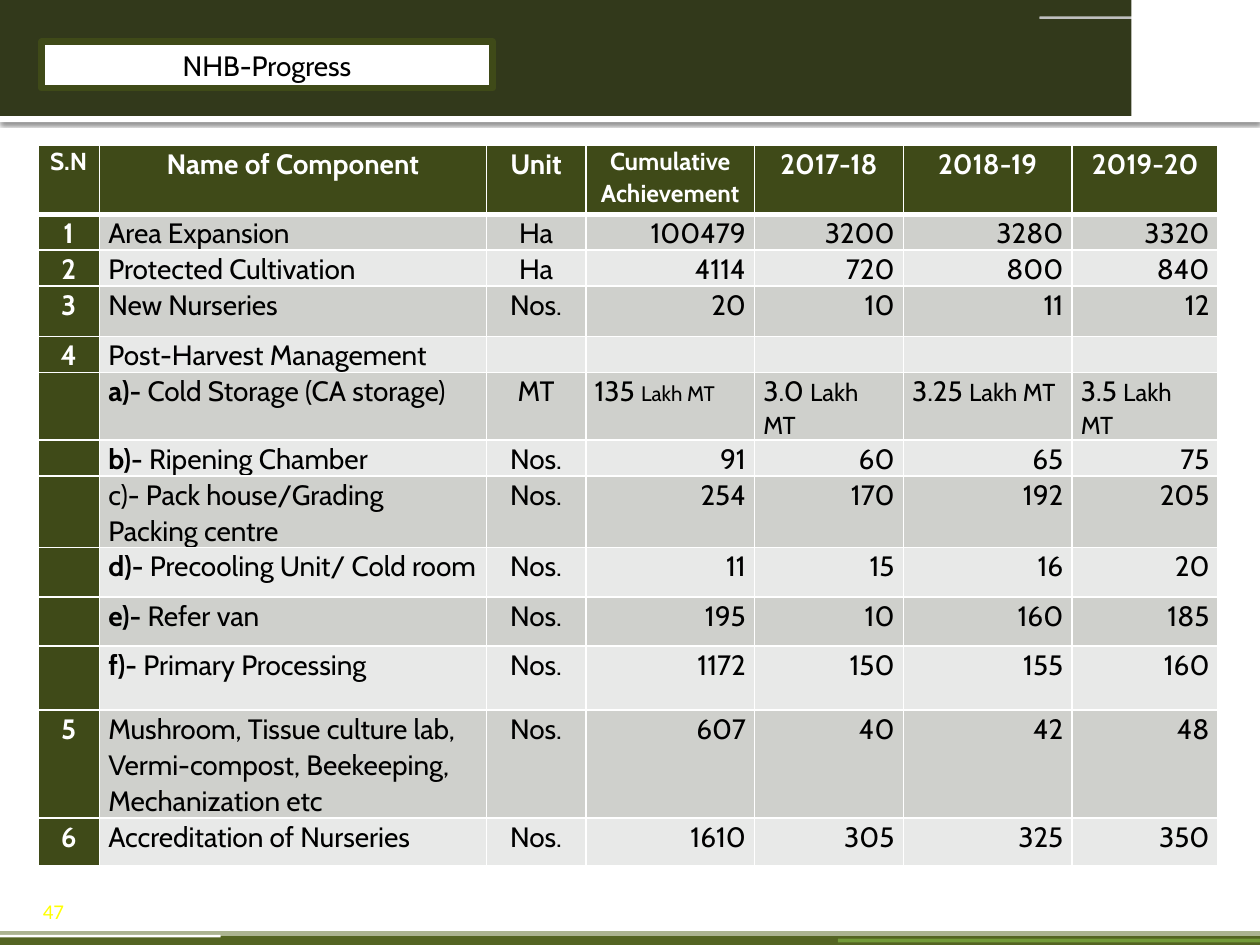
"""Build the NHB progress slide: a banded frame, a boxed title and a table."""
from lxml import etree
from pptx import Presentation
from pptx import util as u
from pptx.dml.color import RGBColor
from pptx.enum import shapes, text
from pptx.oxml import parse_xml
from pptx.oxml.ns import nsdecls, qn

WHITE = RGBColor(0xFF, 0xFF, 0xFF)
BLACK = RGBColor(0, 0, 0)
OLIVE = RGBColor(0x3F, 0x4A, 0x18)
DARK = RGBColor(0x32, 0x39, 0x1B)
GREEN = RGBColor(0x54, 0x64, 0x22)
MOSS = RGBColor(0x59, 0x69, 0x22)
LIME = RGBColor(0x92, 0xD0, 0x50)
SILVER = RGBColor(0xBF, 0xBF, 0xBF)
YELLOW = RGBColor(0xFF, 0xFF, 0)
BANDS = [RGBColor(0xE8, 0xE9, 0xE8), RGBColor(0xCF, 0xD0, 0xCC)]

LEFT, MID, RIGHT = text.PP_ALIGN.LEFT, text.PP_ALIGN.CENTER, text.PP_ALIGN.RIGHT
RECT, ROUND = shapes.MSO_SHAPE.RECTANGLE, shapes.MSO_SHAPE.ROUNDED_RECTANGLE

deck = Presentation()
deck.slide_width, deck.slide_height = u.Inches(10), u.Inches(7.5)
slide = deck.slides.add_slide(deck.slide_layouts[5])
unit = deck.slide_width / 100


def grid(*spans):
    """Turn spans of a 100 by 75 grid into lengths."""
    return [u.Emu(round(span * unit)) for span in spans]


def write(para, words, size=16, color=BLACK, bold=False, face="Cabin", align=LEFT):
    """Add one formatted run to a paragraph."""
    para.alignment = align
    run = para.add_run()
    run.text = words
    font = run.font
    font.size, font.name, font.bold = u.Pt(size), face, bold
    font.color.rgb = color


bars = [
    (RECT, (0, 9.2, 100, 0.5), WHITE, 100),
    (RECT, (0, 0, 100, 9.2), DARK, 100),
    (RECT, (0, 74.3, 100, 0.7), GREEN, 100),
    (ROUND, (66.5, 74.5, 33.5, 0.3), LIME, 50),
    (ROUND, (82.5, 1.3, 17.5, 0.2), SILVER, 100),
    (RECT, (0, 73.9, 100, 0.4), MOSS, 50),
    (RECT, (89.8, 0, 10.2, 9.3), WHITE, 100),
    (ROUND, (0, 74.2, 17.5, 0.2), WHITE, 100),
]
drawn = []
for kind, place, color, alpha in bars:
    bar = slide.shapes.add_shape(kind, *grid(*place))
    bar.shadow.inherit = False
    bar.fill.solid()
    bar.fill.fore_color.rgb = color
    bar.line.fill.background()
    if alpha < 100:
        tint = bar._element.spPr.find(".//" + qn("a:srgbClr"))
        etree.SubElement(tint, qn("a:alpha")).set("val", str(alpha * 1000))
    drawn.append(bar)

glow = drawn[0]._element.spPr.find(qn("a:effectLst"))
glow.append(parse_xml(
    f'<a:outerShdw {nsdecls("a")} blurRad="{u.Pt(2.5)}" dist="{u.Pt(0.8)}" dir="5400000">'
    '<a:srgbClr val="000000"><a:alpha val="60000"/></a:srgbClr></a:outerShdw>'))

page = slide.shapes.add_textbox(*grid(3, 71.3, 8, 2)).text_frame
page.word_wrap = False
page.vertical_anchor = text.MSO_ANCHOR.BOTTOM
page.margin_left = page.margin_right = u.Inches(0.04)
page.margin_top = page.margin_bottom = 0
write(page.paragraphs[0], "47", size=12, color=YELLOW, face="Calibri")

heads = ["S.N", "Name of Component", "Unit", "Cumulative Achievement",
         "2017-18", "2018-19", "2019-20"]
rows = [
    heads,
    ["1", "Area Expansion", "Ha", "100479", "3200", "3280", "3320"],
    ["2", "Protected Cultivation", "Ha", "4114", "720", "800", "840"],
    ["3", "New Nurseries", "Nos.", "20", "10", "11", "12"],
    ["4", "Post-Harvest Management", "", "", "", "", ""],
    ["", "a)-| Cold Storage (CA storage)", "MT", "135 |Lakh MT",
     "3.0 |Lakh MT", "3.25 |Lakh MT", "3.5 |Lakh MT"],
    ["", "b)-| Ripening Chamber", "Nos.", "91", "60", "65", "75"],
    ["", "c)- Pack house/Grading Packing centre", "Nos.", "254", "170", "192", "205"],
    ["", "d)- |Precooling Unit/ Cold room", "Nos.", "11", "15", "16", "20"],
    ["", "e)-| Refer van", "Nos.", "195", "10", "160", "185"],
    ["", "f)- |Primary Processing", "Nos.", "1172", "150", "155", "160"],
    ["5", "Mushroom, Tissue culture lab, Vermi-compost, Beekeeping, Mechanization etc",
     "Nos.", "607", "40", "42", "48"],
    ["6", "Accreditation of Nurseries", "Nos.", "1610", "305", "325", "350"],
]
wide = [4.9, 30.7, 7.9, 13.4, 11.8, 13.4, 11.6]
tall = [5.5, 2.5, 2.5, 4, 2.5, 4.8, 2.7, 4.2, 3.9, 3.9, 5.1, 5.1, 3.8]
aligns = [MID, LEFT, MID] + [RIGHT] * 4

table = slide.shapes.add_table(
    len(rows), len(wide), *grid(3, 11.5, sum(wide), sum(tall))).table
table.horz_banding = False
for col, span in zip(table.columns, grid(*wide)):
    col.width = span
for row, span in zip(table.rows, grid(*tall)):
    row.height = span

for r, row in enumerate(rows):
    for c, words in enumerate(row):
        cell = table.cell(r, c)
        cell.margin_left = cell.margin_right = u.Inches(0.07)
        cell.margin_top = cell.margin_bottom = 0
        for side in "LRTB":
            heavy = (r == 0 and side == "B") or (r == 1 and side == "T")
            cell._tc.get_or_add_tcPr().append(parse_xml(
                f'<a:ln{side} {nsdecls("a")} w="{u.Pt(3 if heavy else 1)}">'
                f'<a:solidFill><a:srgbClr val="{WHITE}"/></a:solidFill></a:ln{side}>'))
        head = r == 0 or c == 0
        cell.fill.solid()
        cell.fill.fore_color.rgb = OLIVE if head else BANDS[r % 2]
        para = cell.text_frame.paragraphs[0]
        para.line_spacing = 1.07
        first, mark, rest = words.partition("|")
        if head and words:
            size = 14 if words in ("S.N", "Cumulative Achievement") else 16
            write(para, words, size=size, color=WHITE, bold=True, align=MID)
        elif mark:
            small = 16 if c == 1 else 12 if c == 3 else 14
            write(para, first, bold=c == 1)
            write(para, rest, size=small)
        elif words:
            write(para, words, align=aligns[c])
        else:
            para._p.get_or_add_endParaRPr().set("sz", "1600")

title = slide.shapes.title
title.left, title.top, title.width, title.height = grid(3.3, 3.3, 35.8, 3.7)
title.fill.solid()
title.fill.fore_color.rgb = WHITE
title.line.color.rgb = OLIVE
title.line.width = u.Pt(3.78)
title.text_frame.vertical_anchor = text.MSO_ANCHOR.MIDDLE
title.text_frame.auto_size = text.MSO_AUTO_SIZE.NONE
write(title.text_frame.paragraphs[0], "NHB-Progress", align=MID)
slide.shapes._spTree.append(title._element)

deck.save("out.pptx")
